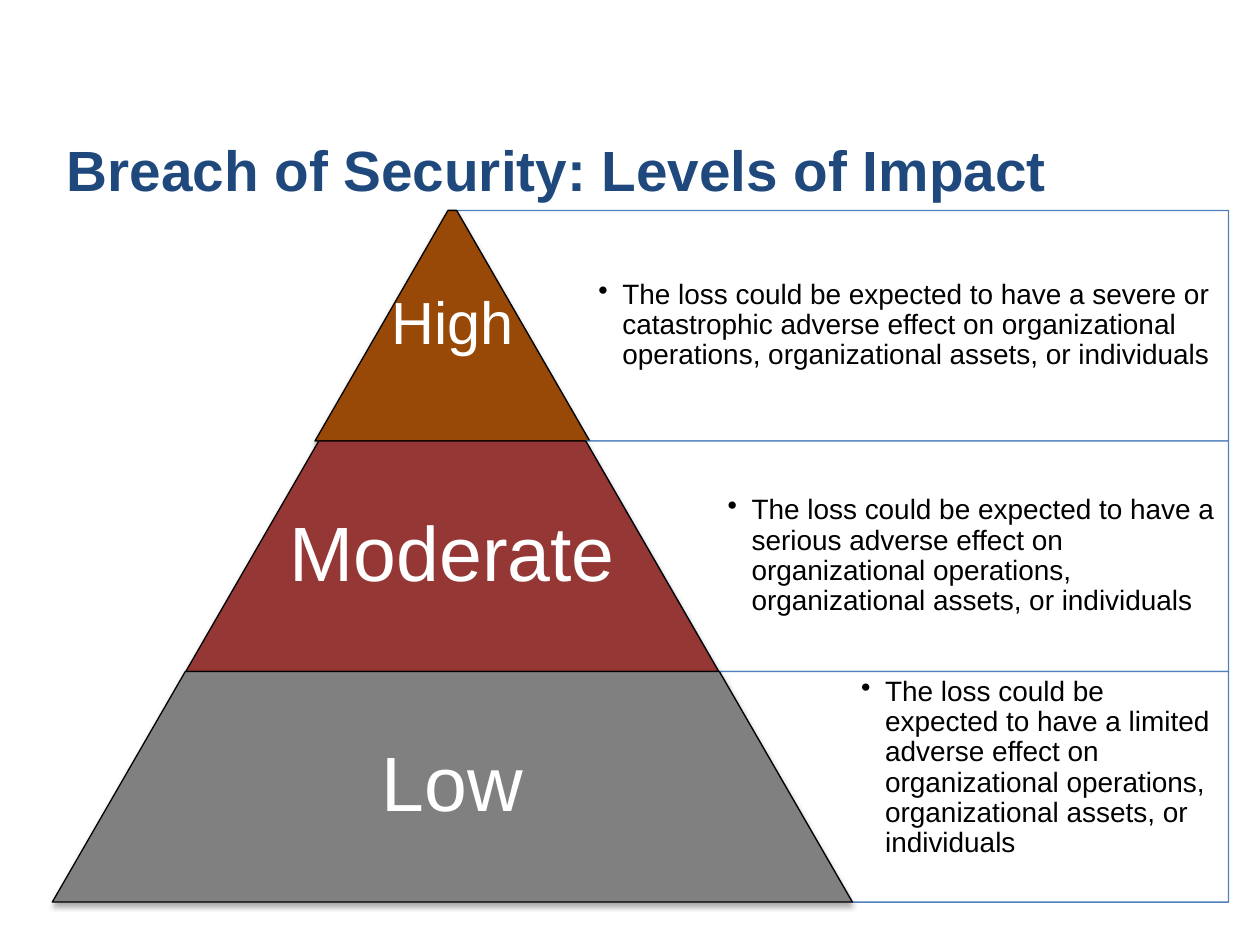
from pptx import Presentation
from pptx.dml.color import RGBColor
from pptx.enum.shapes import MSO_SHAPE as Shape
from pptx.enum.text import MSO_ANCHOR as Anchor, PP_ALIGN as Align
from pptx.oxml import parse_xml
from pptx.oxml.ns import nsdecls
from pptx.util import Inches, Pt

NAVY = RGBColor(0x1F, 0x49, 0x7D)
BLUE = RGBColor(0x4F, 0x81, 0xBD)
BROWN = RGBColor(0x98, 0x48, 0x07)
RED = RGBColor(0x95, 0x37, 0x35)
GRAY = RGBColor(0x80, 0x80, 0x80)
BLACK = RGBColor(0, 0, 0)
WHITE = RGBColor(0xFF, 0xFF, 0xFF)

TOP = 1.67
BAND_H = 1.83
CENTER = 3.59
RIGHT = 9.75
SLOPE = 0.577
INSET = SLOPE * BAND_H

LEVELS = [
    ("High", BROWN, 2.18, 2.18, 34, "a severe or catastrophic", 0),
    ("Moderate", RED, 4.23, 2.75, 44, "a serious", 0),
    ("Low", GRAY, 6.35, 4.13, 44, "a limited", 0.3),
]
IMPACT = ("The loss could be expected to have {} adverse effect on organizational "
          "operations, organizational assets, or individuals")


class SlideBuilder:
    font = "Arial"
    line_width = Pt(0.75)

    def __init__(self, slide):
        self.slide = slide

    def text(self, text, x, y, w, h, size, color, anchor=Anchor.MIDDLE,
             align=Align.LEFT, bold=False, margins=(0.07, 0, 0.07, 0), spacing=0.9):
        box = self.slide.shapes.add_textbox(Inches(x), Inches(y), Inches(w), Inches(h))
        tf = box.text_frame
        tf.word_wrap = True
        tf.vertical_anchor = anchor
        (tf.margin_left, tf.margin_top,
         tf.margin_right, tf.margin_bottom) = map(Inches, margins)
        tf.text = text
        p = tf.paragraphs[0]
        p.alignment = align
        p.line_spacing = spacing
        r = p.runs[0]
        r.font.name = self.font
        r.font.size = Pt(size)
        r.font.bold = bold
        r.font.color.rgb = color
        return p

    def bullet(self, text, x, y, w, h, bottom):
        p = self.text(text, x, y, w, h, 16, BLACK, margins=(0.07, 0, 0.07, bottom))
        pPr = p._p.get_or_add_pPr()
        pPr.set("marL", str(Inches(0.19)))
        pPr.set("indent", str(-Inches(0.19)))
        pPr.append(parse_xml(f'<a:buChar {nsdecls("a")} char="•"/>'))

    def shape(self, kind, x, y, w, h, fill, line, adjustments):
        sp = self.slide.shapes.add_shape(kind, Inches(x), Inches(y), Inches(w), Inches(h))
        sp.shadow.inherit = False
        for i, value in enumerate(adjustments):
            sp.adjustments[i] = value
        sp.fill.solid()
        sp.fill.fore_color.rgb = fill
        sp.line.color.rgb = line
        sp.line.width = self.line_width
        return sp

    def band(self, x, y, w, h, fill):
        sp = self.shape(Shape.TRAPEZOID, x, y, w, h, fill, BLACK, [SLOPE])
        sp._element.spPr.find("{*}effectLst").append(parse_xml(
            f'<a:outerShdw {nsdecls("a")} blurRad="{Pt(3.1)}" dist="{Pt(1.8)}" '
            'dir="5400000" rotWithShape="0"><a:srgbClr val="000000">'
            '<a:alpha val="35000"/></a:srgbClr></a:outerShdw>'))

    def callout(self, x, y, w, h):
        sp = self.shape(Shape.NON_ISOSCELES_TRAPEZOID, x, y, w, h, WHITE, BLUE, [0, SLOPE])
        sp.rotation = 180
        color = sp._element.spPr.find("{*}solidFill/{*}srgbClr")
        color.append(parse_xml(f'<a:alpha {nsdecls("a")} val="90000"/>'))


def main():
    prs = Presentation()
    prs.slide_width = Inches(10)
    prs.slide_height = Inches(7.5)
    s = SlideBuilder(prs.slides.add_slide(prs.slide_layouts[6]))

    s.text("Breach of Security: Levels of Impact", 0.43, 1, 9.21, 0.66, 32.4, NAVY,
           anchor=Anchor.BOTTOM, bold=True, margins=(0.1, 0.05, 0.1, 0.05), spacing=1.0)

    for i, (name, color, width, label_w, size, degree, bottom) in enumerate(LEVELS):
        y = TOP + i * BAND_H
        edge = CENTER + width / 2
        left = edge - INSET
        s.callout(left, y, RIGHT - left, BAND_H)
        s.bullet(IMPACT.format(degree), edge, y, RIGHT - edge, BAND_H, bottom)
        s.band(CENTER - width / 2, y, width, BAND_H, color)
        s.text(name, CENTER - label_w / 2, y, label_w, BAND_H, size, WHITE,
               align=Align.CENTER, margins=(0.05, 0.05, 0.05, 0.05))

    prs.save("out.pptx")


if __name__ == "__main__":
    main()
